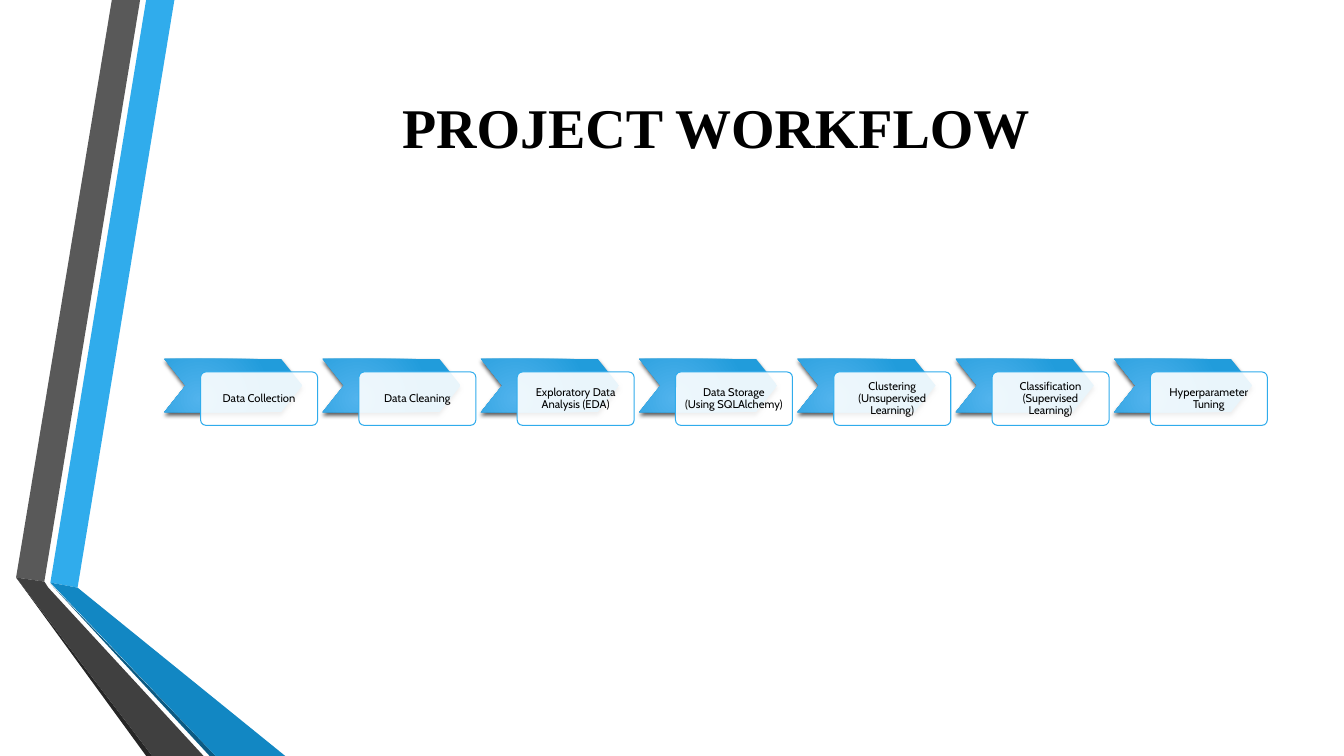
from dataclasses import dataclass
from typing import Any

from lxml.etree import SubElement
from pptx import Presentation
from pptx.dml.color import RGBColor
from pptx.enum.shapes import MSO_SHAPE
from pptx.enum.text import MSO_ANCHOR, MSO_AUTO_SIZE, PP_ALIGN
from pptx.oxml import parse_xml
from pptx.oxml.ns import nsdecls, qn
from pptx.util import Inches, Pt


@dataclass(frozen=True)
class Theme:
    ink: str = "000000"
    paper: str = "FFFFFF"
    edge: str = "30ACEC"
    light: str = "51B3ED"
    deep: str = "219CDB"
    head_font: str = "Times New Roman"
    body_font: str = "Cabin"
    head_size: float = 40
    body_size: float = 8


@dataclass(frozen=True)
class Ribbon:
    color: str
    points: tuple[tuple[float, float], ...]


@dataclass(frozen=True)
class Step:
    label: str
    left: float


THEME = Theme()
RIBBONS = (
    Ribbon("30ACEC", ((0.5, 5.78), (0.77, 5.83), (1.73, 0), (1.45, 0))),
    Ribbon("595959", ((1.39, 0), (1.11, 0), (0.16, 5.73), (0.44, 5.77))),
    Ribbon("262626", ((0.16, 5.73), (1.45, 7.5), (1.51, 7.5))),
    Ribbon("0C5A82", ((0.5, 5.79), (2.08, 7.5), (2.14, 7.5))),
    Ribbon("1287C3", ((0.5, 5.78), (2.14, 7.5), (2.83, 7.5), (0.77, 5.83))),
    Ribbon("404040", ((2.02, 7.5), (0.48, 5.83), (0.44, 5.77), (0.16, 5.73), (1.51, 7.5))),
)
LABELS = (
    "Data Collection",
    "Data Cleaning",
    "Exploratory Data Analysis (EDA)",
    "Data Storage\n(Using SQLAlchemy)",
    "Clustering (Unsupervised Learning)",
    "Classification (Supervised Learning)",
    "Hyperparameter Tuning",
)
START, PITCH, TOP = 1.63, 1.57, 3.56
STEPS = [Step(label, START + i * PITCH) for i, label in enumerate(LABELS)]


def apply(target: Any, values: dict[str, Any]) -> None:
    for name, value in values.items():
        setattr(target, name, value)


def write(shape: Any, text: str, frame: dict[str, Any], para: dict[str, Any],
          font: dict[str, Any]) -> None:
    apply(shape.text_frame, {"word_wrap": True, "auto_size": MSO_AUTO_SIZE.NONE,
                             "vertical_anchor": MSO_ANCHOR.MIDDLE, **frame})
    line = shape.text_frame.paragraphs[0]
    line.text = text
    apply(line, {"alignment": PP_ALIGN.CENTER, **para})
    for run in line.runs:
        apply(run.font, font)
        run.font.color.rgb = RGBColor.from_string(THEME.ink)


def paint(shape: Any, color: str) -> None:
    shape.shadow.inherit = False
    shape.fill.solid()
    shape.fill.fore_color.rgb = RGBColor.from_string(color)


def draw_ribbon(slide: Any, ribbon: Ribbon) -> None:
    first, *rest = [(Inches(x), Inches(y)) for x, y in ribbon.points]
    pen = slide.shapes.build_freeform(*first)
    pen.add_line_segments(rest, close=True)
    shape = pen.convert_to_shape()
    paint(shape, ribbon.color)
    shape.line.fill.background()


def draw_arrow(slide: Any, step: Step) -> None:
    shape = slide.shapes.add_shape(
        MSO_SHAPE.CHEVRON, Inches(step.left), Inches(TOP), Inches(1.37), Inches(0.53))
    shape.adjustments[0] = 0.4
    shape.line.fill.background()
    shape.shadow.inherit = False
    props = shape._element.spPr
    props.find(qn("a:ln")).addprevious(parse_xml(
        f'<a:gradFill {nsdecls("a")} rotWithShape="1"><a:gsLst>'
        f'<a:gs pos="0"><a:srgbClr val="{THEME.light}"/></a:gs>'
        f'<a:gs pos="100000"><a:srgbClr val="{THEME.deep}"/></a:gs></a:gsLst>'
        '<a:path path="circle"><a:fillToRect l="50000" t="100000" r="100000" b="50000"/>'
        '</a:path></a:gradFill>'))
    props.find(qn("a:effectLst")).append(parse_xml(
        f'<a:outerShdw {nsdecls("a")} blurRad="{Pt(3)}" dist="{Pt(2)}" dir="5400000" '
        f'rotWithShape="0"><a:srgbClr val="{THEME.ink}"><a:alpha val="64000"/>'
        '</a:srgbClr></a:outerShdw>'))


def draw_card(slide: Any, step: Step) -> None:
    shape = slide.shapes.add_shape(
        MSO_SHAPE.ROUNDED_RECTANGLE, Inches(step.left + 0.36), Inches(TOP + 0.13),
        Inches(1.16), Inches(0.53))
    shape.adjustments[0] = 0.1
    paint(shape, THEME.paper)
    tint = shape._element.spPr.find(f'{qn("a:solidFill")}/{qn("a:srgbClr")}')
    SubElement(tint, qn("a:alpha"), val="90000")
    shape.line.color.rgb = RGBColor.from_string(THEME.edge)
    shape.line.width = Pt(0.75)
    sides = ("left", "top", "right", "bottom")
    write(shape, step.label, {f"margin_{side}": Inches(0.06) for side in sides},
          {"line_spacing": 0.9},
          {"name": THEME.body_font, "size": Pt(THEME.body_size)})


def draw_title(slide: Any) -> None:
    title = slide.shapes.title
    apply(title, {"left": Inches(1.62), "top": Inches(0.44),
                  "width": Inches(10.96), "height": Inches(2.23)})
    write(title, "PROJECT WORKFLOW", {"margin_bottom": Inches(0.66)}, {},
          {"name": THEME.head_font, "size": Pt(THEME.head_size), "bold": True})


def main() -> None:
    deck = Presentation()
    apply(deck, {"slide_width": Inches(13.33), "slide_height": Inches(7.5)})
    slide = deck.slides.add_slide(deck.slide_layouts[5])
    for ribbon in RIBBONS:
        draw_ribbon(slide, ribbon)
    draw_title(slide)
    for step in STEPS:
        draw_arrow(slide, step)
        draw_card(slide, step)
    deck.save("out.pptx")


if __name__ == "__main__":
    main()
